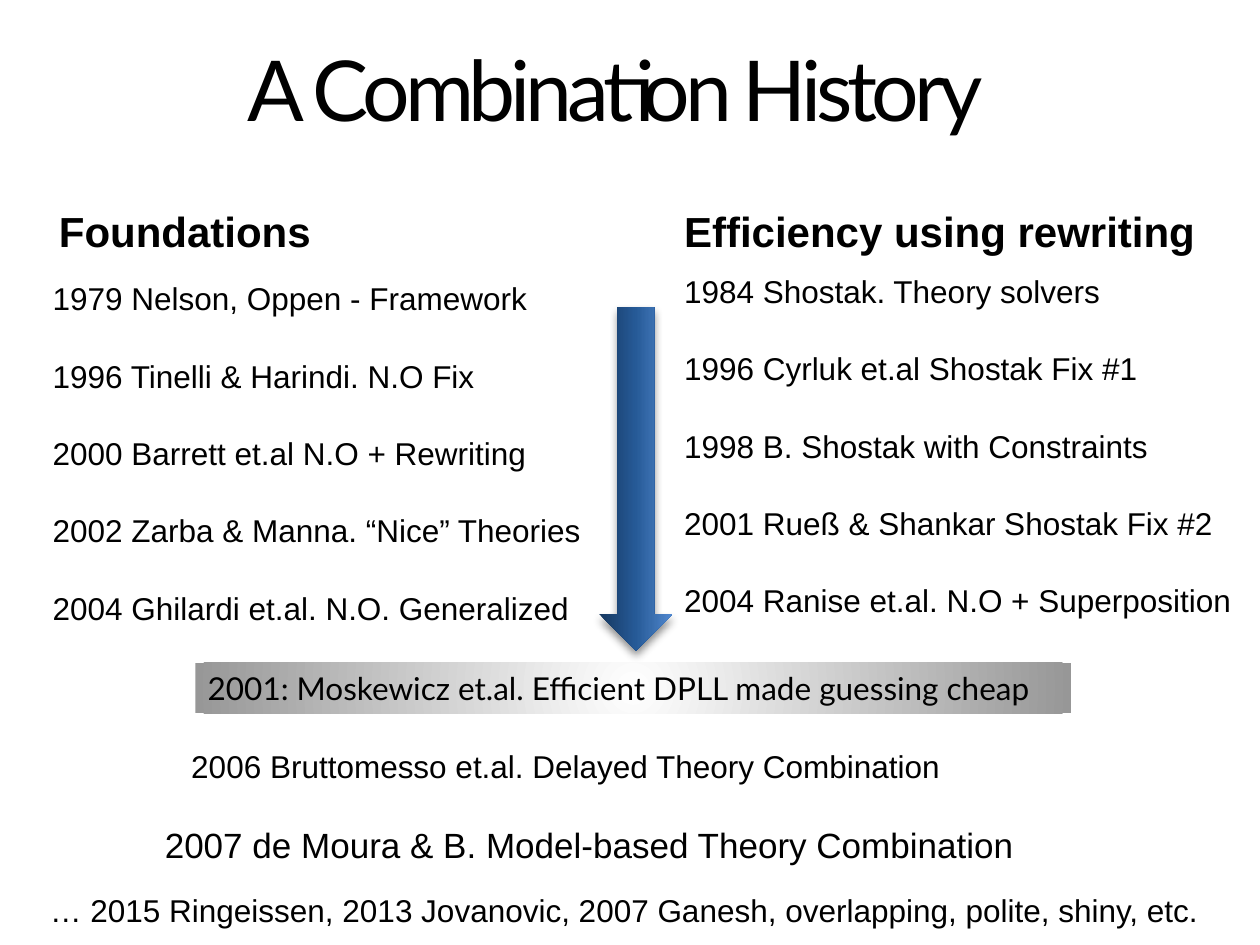
from lxml.etree import SubElement
from pptx import Presentation
from pptx.dml.color import RGBColor
from pptx.enum.shapes import MSO_SHAPE
from pptx.enum.text import MSO_ANCHOR, PP_ALIGN
from pptx.oxml import parse_xml
from pptx.oxml.ns import nsdecls, qn
from pptx.util import Pt

BLACK = "000000"
FOUNDATIONS = [
    "1979 Nelson, Oppen - Framework",
    "1996 Tinelli & Harindi. N.O Fix",
    "2000 Barrett et.al N.O + Rewriting",
    "2002 Zarba & Manna. “Nice” Theories",
    "2004 Ghilardi et.al. N.O. Generalized",
]
EFFICIENCY = [
    "1984 Shostak. Theory solvers",
    "1996 Cyrluk et.al Shostak Fix #1",
    "1998 B. Shostak with Constraints",
    "2001 Rueß & Shankar Shostak Fix #2",
    "2004 Ranise et.al. N.O + Superposition",
]
# lines, (left, top, width, height), size, bold
TEXTS = [
    (FOUNDATIONS, (23, 156.2, 332, 203.8), 18, False),
    (["2007 de Moura & B. Model-based Theory Combination"],
     (87.1, 467.3, 552.2, 31.5), 20, False),
    (["2006 Bruttomesso et.al. Delayed Theory Combination"],
     (102.2, 423.4, 509.8, 29), 18, False),
    (EFFICIENCY, (383.8, 151.9, 336.2, 203.8), 18, False),
    (["Foundations"], (26.6, 113.8, 159.8, 36), 24, True),
    (["Efficiency using rewriting"], (383.8, 113.8, 308.9, 36), 24, True),
    (["… 2015 Ringeissen, 2013 Jovanovic, 2007 Ganesh, overlapping, polite, shiny, etc."],
     (21.6, 505.4, 692.6, 29), 18, False),
]
ENTRY_GAP = 22.6
ARROW_STOPS = [(0, "163860"), (50, "265A97"), (70, "376CAC"), (100, "5188D0")]
BANNER_STOPS = [(0, "FFFFFF"), (100, "979797")]
UPWARD = '<a:lin ang="16200000" scaled="0"/>'
FROM_CENTRE = ('<a:path path="circle">'
               '<a:fillToRect l="50000" t="50000" r="50000" b="50000"/></a:path>')


def color(value):
    return RGBColor.from_string(value)


def write(shape, lines, size, font="Arial", bold=False):
    frame = shape.text_frame
    frame.word_wrap = True
    frame.vertical_anchor = MSO_ANCHOR.TOP
    frame.text = "\n".join(lines)
    for para in frame.paragraphs:
        para.alignment = PP_ALIGN.LEFT
        para.space_after = Pt(ENTRY_GAP if len(lines) > 1 else 0)
        for span in para.runs:
            span.font.name = font
            span.font.size = Pt(size)
            span.font.bold = bold
            span.font.color.rgb = color(BLACK)
    return frame


def add_text(page, place, lines, size, **style):
    box = page.shapes.add_textbox(*map(Pt, place))
    return write(box, lines, size, **style)


def add_gradient_shape(page, kind, place, stops, direction):
    shape = page.shapes.add_shape(kind, *map(Pt, place))
    shape.shadow.inherit = False
    shape.line.fill.background()
    shape.fill.background()
    stop_xml = "".join(
        f'<a:gs pos="{percent * 1000}"><a:srgbClr val="{value}"/></a:gs>'
        for percent, value in stops)
    gradient = parse_xml(f'<a:gradFill {nsdecls("a")} rotWithShape="1">'
                         f'<a:gsLst>{stop_xml}</a:gsLst>{direction}</a:gradFill>')
    properties = shape._element.spPr
    properties.replace(properties.find(qn("a:noFill")), gradient)
    return shape


def add_shadow(shape, value, opacity, blur, distance, angle):
    effects = shape._element.spPr.find(qn("a:effectLst"))
    shadow = SubElement(effects, qn("a:outerShdw"), blurRad=str(Pt(blur)),
                        dist=str(Pt(distance)), dir=str(angle * 60000),
                        rotWithShape="0")
    tint = SubElement(shadow, qn("a:srgbClr"), val=value)
    SubElement(tint, qn("a:alpha"), val=str(opacity * 1000))


def main():
    deck = Presentation()
    deck.slide_width, deck.slide_height = Pt(720), Pt(540)
    page = deck.slides.add_slide(deck.slide_layouts[6])

    title = add_text(page, (21.6, 28.1, 660.2, 52.6),
                     ["A Combination History"], 48, font="Lato")
    title.margin_left = title.margin_right = title.margin_top = title.margin_bottom = 0
    heading = title.paragraphs[0]
    heading.alignment = PP_ALIGN.CENTER
    heading.line_spacing = 0.9
    heading.runs[0].font._element.set("spc", "-300")

    arrow = add_gradient_shape(page, MSO_SHAPE.RIGHT_ARROW,
                               (265, 252.7, 196.6, 41.8), ARROW_STOPS, UPWARD)
    arrow.rotation = 90
    add_shadow(arrow, BLACK, 45, 5, 3, 90)

    for lines, place, size, bold in TEXTS:
        add_text(page, place, lines, size, bold=bold)

    banner = add_gradient_shape(page, MSO_SHAPE.RECTANGLE,
                                (111.6, 378.7, 500.4, 29), BANNER_STOPS, FROM_CENTRE)
    write(banner, ["2001: Moskewicz et.al. Efficient DPLL made guessing cheap"],
          18, font="Lato")

    deck.save("out.pptx")


if __name__ == "__main__":
    main()
